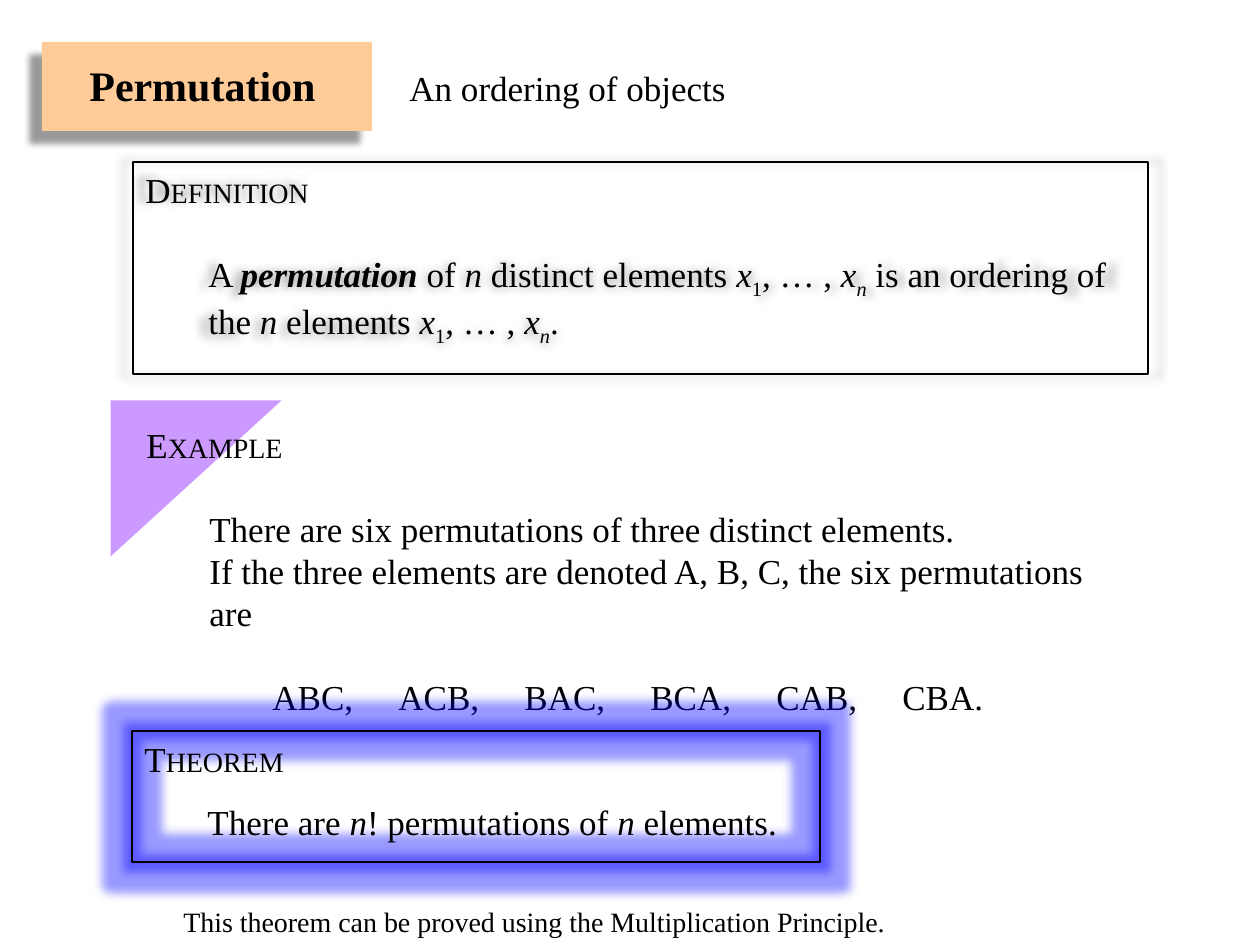
import lxml.etree
import pptx
import pptx.dml.color
import pptx.enum.shapes
import pptx.enum.text
import pptx.oxml.ns
import pptx.util

PX = 914400 // 126
POINT = 12700
KIND = pptx.enum.shapes.MSO_SHAPE


def colour(value):
    return pptx.dml.color.RGBColor.from_string(value)


def child(parent, name, **attributes):
    element = lxml.etree.SubElement(parent, pptx.oxml.ns.qn(name))
    for key, value in attributes.items():
        element.set(key, str(value))
    return element


def add_span(para, text, size=20, bold=False, italic=False, sub=False):
    span = para.add_run()
    span.text = text
    span.font.name = "Times New Roman"
    span.font.size = pptx.util.Pt(size)
    span.font.bold = bold
    span.font.italic = italic
    span.font.color.rgb = colour("000000")
    if sub:
        span.font._element.set("baseline", "-25000")


class SlideBuilder:
    def __init__(self, deck):
        self.page = deck.slides.add_slide(deck.slide_layouts[6])

    def shape(self, kind, place, fill=None, line=None):
        box = self.page.shapes.add_shape(kind, *(value * PX for value in place))
        box.shadow.inherit = False
        if fill:
            box.fill.solid()
            box.fill.fore_color.rgb = colour(fill)
        else:
            box.fill.background()
        if line:
            box.line.color.rgb = colour(line)
            box.line.width = pptx.util.Pt(0.75)
        else:
            box.line.fill.background()
        return box

    def text_box(self, place):
        box = self.page.shapes.add_textbox(*(value * PX for value in place))
        box.text_frame.word_wrap = True
        return box

    def framed_box(self, place):
        box = self.shape(KIND.RECTANGLE, place, line="000000")
        box.text_frame.word_wrap = True
        box.text_frame.vertical_anchor = pptx.enum.text.MSO_ANCHOR.TOP
        return box

    def effect(self, box, name, tint, alpha, **attributes):
        effects = box.element.spPr.find(pptx.oxml.ns.qn("a:effectLst"))
        tone = child(child(effects, name, **attributes), "a:srgbClr", val=tint)
        child(tone, "a:alpha", val=alpha * 1000)

    def heading(self, box, text):
        para = box.text_frame.paragraphs[0]
        para.alignment = pptx.enum.text.PP_ALIGN.LEFT
        add_span(para, text[0])
        add_span(para, text[1:], size=16)

    def body(self, box, *spans, before=0, spacing=None):
        para = box.text_frame.add_paragraph()
        para.alignment = pptx.enum.text.PP_ALIGN.LEFT
        para.level = 1
        para.space_before = pptx.util.Pt(before)
        if spacing:
            para.line_spacing = spacing
        properties = para._p.get_or_add_pPr()
        properties.set("marL", str(63 * PX))
        properties.set("indent", "0")
        for text, style in spans:
            add_span(para, text, **style)


def main():
    deck = pptx.Presentation()
    deck.slide_width = pptx.util.Inches(10)
    deck.slide_height = pptx.util.Inches(7.5)
    slide = SlideBuilder(deck)
    plain, italic, sub = {}, {"italic": True}, {"sub": True}
    sub_italic = {"sub": True, "italic": True}
    elements = [("x", italic), ("1", sub), (", … , ", plain),
                ("x", italic), ("n", sub_italic)]

    corner = slide.shape(KIND.RIGHT_TRIANGLE, (118, 393, 156, 171), fill="CC99FF")
    corner.rotation = 90

    title_panel = slide.shape(KIND.RECTANGLE, (42, 42, 330, 89), fill="FFCC99")
    slide.effect(title_panel, "a:outerShdw", "000000", 40, blurRad=4 * POINT,
                 dist=10 * POINT, dir=135 * 60000, algn="tr", rotWithShape=0)
    title = slide.text_box((77, 53, 665, 63))
    para = title.text_frame.paragraphs[0]
    stops = child(para._p.get_or_add_pPr(), "a:tabLst")
    child(stops, "a:tab", pos=320 * PX, algn="l")
    add_span(para, "Permutation", size=24, bold=True)
    add_span(para, "\tAn ordering of objects")

    definition = slide.framed_box((133, 162, 1015, 212))
    slide.effect(definition, "a:outerShdw", "000000", 40, blurRad=5 * POINT,
                 sx=102000, sy=102000, algn="ctr", rotWithShape=0)
    slide.heading(definition, "DEFINITION")
    slide.body(definition, ("A ", plain), ("permutation", {"bold": True, "italic": True}),
               (" of ", plain), ("n", italic), (" distinct elements ", plain),
               *elements, (" is an ordering of", plain), before=24)
    slide.body(definition, ("the ", plain), ("n", italic), (" elements ", plain),
               *elements, (".", plain))

    example = slide.text_box((134, 417, 1013, 265))
    slide.heading(example, "EXAMPLE")
    slide.body(example, ("There are six permutations of three distinct elements.", plain),
               before=24)
    slide.body(example, ("If the three elements are denoted A, B, C, "
                         "the six permutations are", plain))
    slide.body(example, ("\tABC,\tACB,\tBAC,\tBCA,\tCAB,\tCBA.", plain), before=24)

    theorem = slide.framed_box((132, 731, 688, 131))
    slide.effect(theorem, "a:glow", "0000FF", 40, rad=11 * POINT)
    slide.heading(theorem, "THEOREM")
    slide.body(theorem, ("There are ", plain), ("n", italic), ("! permutations of ", plain),
               ("n", italic), (" elements.", plain), spacing=1.5)

    remark = slide.text_box((171, 898, 731, 47))
    add_span(remark.text_frame.paragraphs[0],
             "This theorem can be proved using the Multiplication Principle.", size=16)

    deck.save("out.pptx")


if __name__ == "__main__":
    main()
